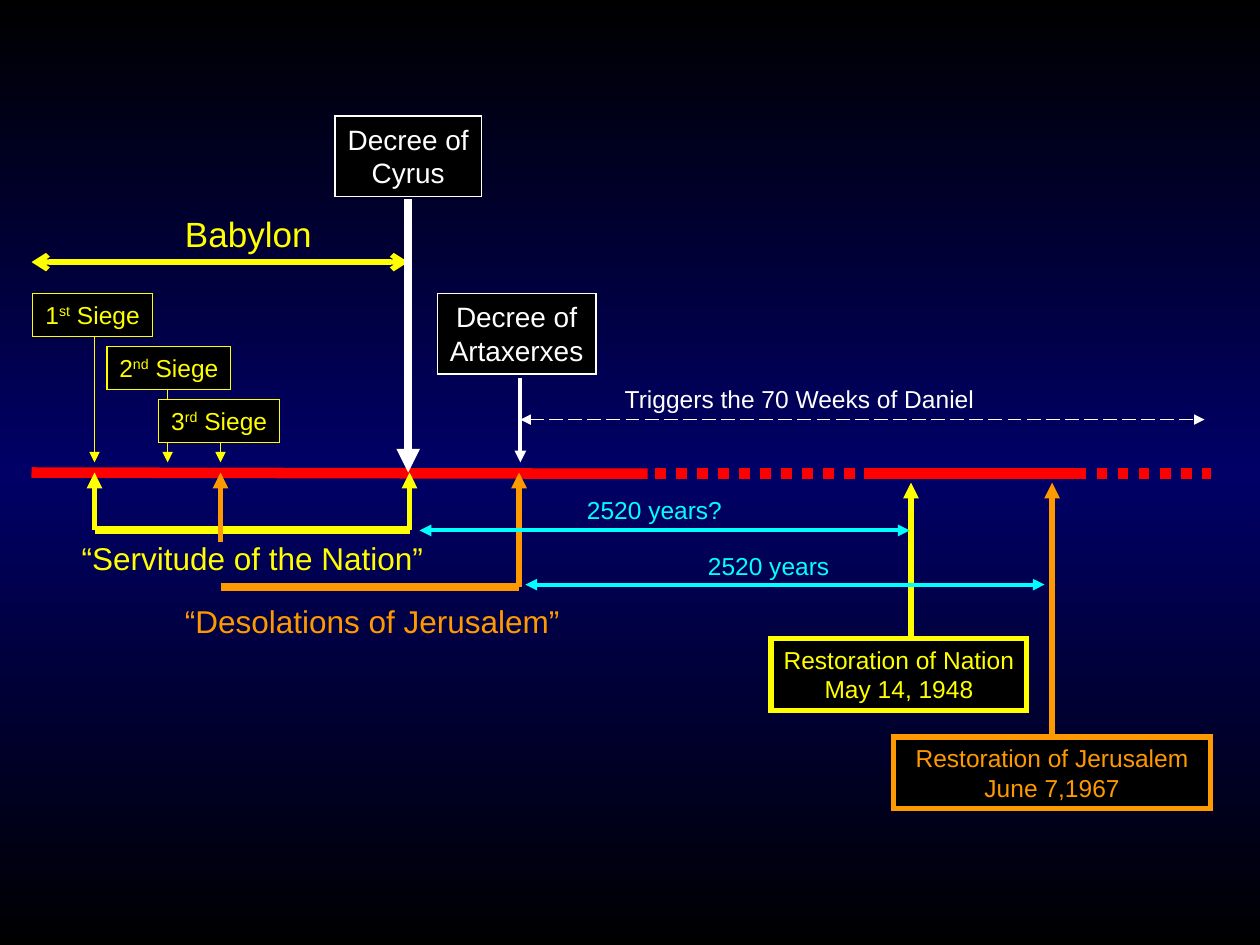
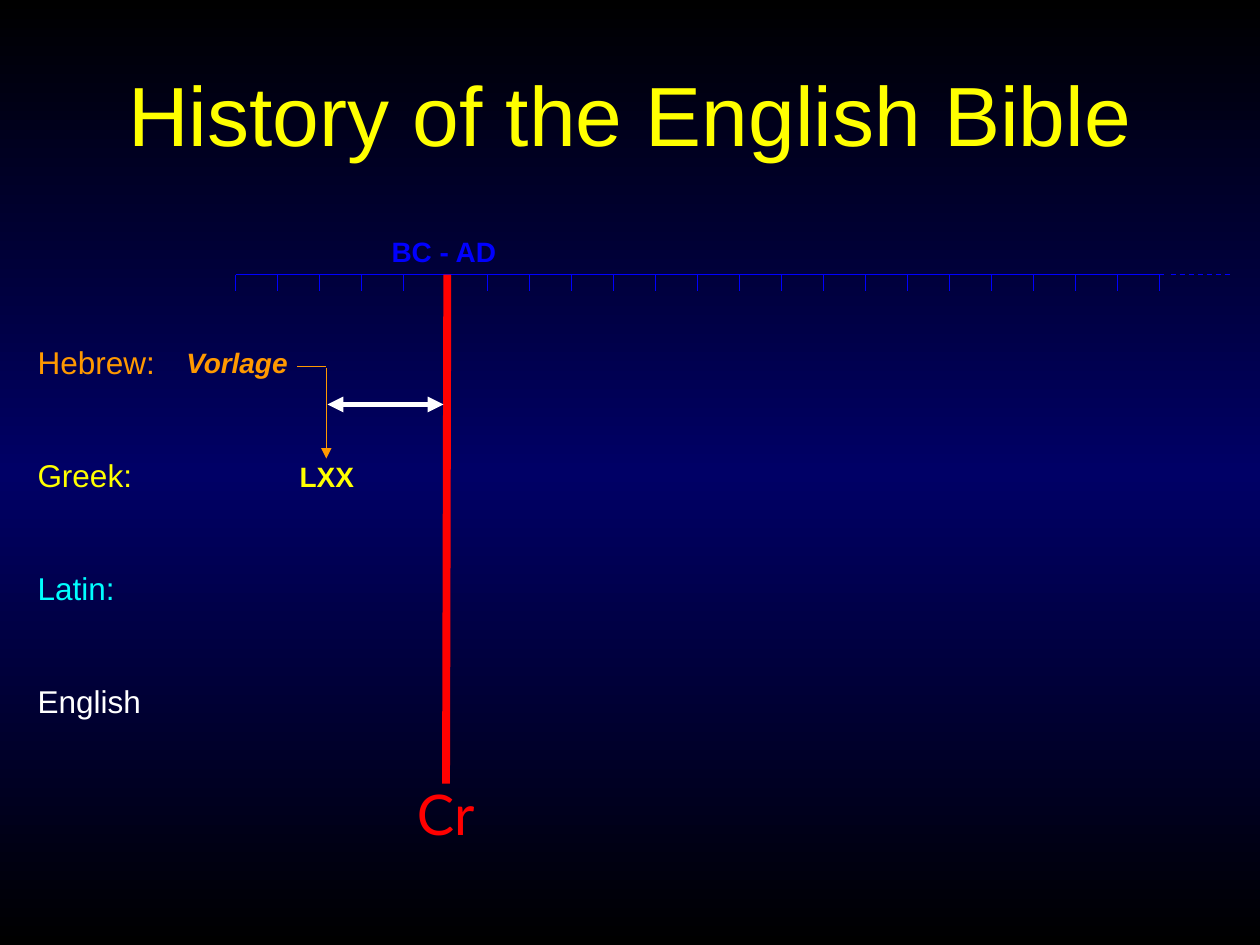
import pptx
import pptx.dml.color
import pptx.enum.dml
import pptx.enum.shapes
import pptx.enum.text
import pptx.oxml
import pptx.oxml.ns
import pptx.util

Inches = pptx.util.Inches
Pt = pptx.util.Pt
qn = pptx.oxml.ns.qn
PP_ALIGN = pptx.enum.text.PP_ALIGN
DASH = pptx.enum.dml.MSO_LINE

BLACK, NAVY, WHITE = "000000", "000066", "FFFFFF"
YELLOW, ORANGE, CYAN, RED, BLUE = "FFFF00", "FF9900", "00FFFF", "FF0000", "0000FF"
FONT = "Arial"
AXIS_Y = 3.76


def rgb(value):
    """Turn a hex string into a colour."""
    return pptx.dml.color.RGBColor.from_string(value)


def set_background(master):
    """Give every slide the black, navy, black vertical gradient."""
    fill = master.background.fill
    fill.gradient()
    fill.gradient_angle = 270
    stops = master.element.find(".//" + qn("a:gsLst"))
    for gs in list(stops):
        stops.remove(gs)
    for pos, color in ((0, BLACK), (50000, NAVY), (100000, BLACK)):
        gs = stops.makeelement(qn("a:gs"), {"pos": str(pos)})
        gs.append(gs.makeelement(qn("a:srgbClr"), {"val": color}))
        stops.append(gs)


def add_line(slide, start, end, color, width, dash=None, head=None, tail=None):
    """Draw a straight line, with arrowheads at either end if named."""
    sp = slide.shapes.add_connector(
        pptx.enum.shapes.MSO_CONNECTOR.STRAIGHT,
        *(Inches(v) for v in (*start, *end)))
    sp.line.color.rgb = rgb(color)
    sp.line.width = Pt(width)
    if dash:
        sp.line.dash_style = dash
    ln = sp.line._get_or_add_ln()
    for tag, kind in (("a:headEnd", head), ("a:tailEnd", tail)):
        if kind:
            ln.append(ln.makeelement(qn(tag), {"type": kind}))
    spPr = sp._element.spPr
    spPr.append(spPr.makeelement(qn("a:effectLst"), {}))


def add_run(p, text, color, size, font=FONT, bold=False, italic=False, raised=False):
    """Append one formatted run to a paragraph."""
    r = p.add_run()
    r.text = text
    r.font.name, r.font.size = font, Pt(size)
    r.font.bold, r.font.italic = bold, italic
    r.font.color.rgb = rgb(color)
    if raised:
        r._r.get_or_add_rPr().set("baseline", "30000")


def plain_frame(sp):
    """Clear wrapping and anchor the text at the top."""
    tf = sp.text_frame
    tf.word_wrap = False
    tf.auto_size = pptx.enum.text.MSO_AUTO_SIZE.NONE
    tf.vertical_anchor = pptx.enum.text.MSO_ANCHOR.TOP
    tf.margin_left = tf.margin_right = Inches(0.1)
    tf.margin_top = tf.margin_bottom = Inches(0.05)
    return tf


def add_label(slide, box, text, color, size, **style):
    """Place one line of text without a frame."""
    sp = slide.shapes.add_textbox(*(Inches(v) for v in box))
    add_run(plain_frame(sp).paragraphs[0], text, color, size, **style)


def add_callout(slide, box, lines, color, size, border, arrow, weight):
    """Draw a framed event with an arrow to the time line, arrow being (x, start, tip)."""
    x, start, tip = arrow
    add_line(slide, (x, start), (x, tip), color, weight, tail="triangle")
    sp = slide.shapes.add_shape(
        pptx.enum.shapes.MSO_SHAPE.RECTANGLE, *(Inches(v) for v in box))
    sp.shadow.inherit = False
    sp.fill.solid()
    sp.fill.fore_color.rgb = rgb(BLACK)
    sp.line.color.rgb = rgb(color)
    sp.line.width = Pt(border)
    ln = sp.line._get_or_add_ln()
    ln.append(ln.makeelement(qn("a:miter"), {"lim": "800000"}))
    tf = plain_frame(sp)
    for i, runs in enumerate(lines):
        p = tf.add_paragraph() if i else tf.paragraphs[0]
        p.alignment = PP_ALIGN.CENTER
        for j, text in enumerate(runs):
            add_run(p, text, color, size, raised=j == 1)


def add_bracket(slide, box, color, left_start, label_box, text):
    """Draw a period below the time line: a bar with an arrow up at each end."""
    left, top, width, height = box
    right, bottom = left + width, top + height
    add_line(slide, (left, bottom), (right, bottom), color, 4.5)
    add_line(slide, (left, left_start), (left, top), color, 3, tail="triangle")
    add_line(slide, (right, bottom), (right, top), color, 3, tail="triangle")
    add_label(slide, label_box, text, color, 18)


def add_span(slide, box, text, label, color, size, weight, head="triangle", dash=None):
    """Draw a double arrow along the foot of a box, label being (offset, width)."""
    left, top, width, height = box
    y = top + height
    add_line(slide, (left, y), (left + width, y), color, weight, dash, head, head)
    add_label(slide, (left + label[0], top, label[1], height), text, color, size)


def build_prophecy(prs):
    """Build the time line of sieges, decrees and restorations."""
    slide = prs.slides.add_slide(prs.slide_layouts[6])
    sieges = (("1", "st", 0.26, 0.95, 0.75),
              ("2", "nd", 0.85, 0.98, 1.33),
              ("3", "rd", 1.26, 0.96, 1.75))
    for i, (number, suffix, left, width, x) in enumerate(sieges):
        top = 2.33 + 0.42 * i
        add_callout(slide, (left, top, width, 0.34), [(number, suffix, " Siege")],
                    YELLOW, 14, 0.75, (x, top + 0.34, 3.67), 0.75)

    add_line(slide, (0.25, 3.75), (5.14, AXIS_Y), RED, 6)
    add_bracket(slide, (0.75, 3.75, 2.5, 0.46), YELLOW, 4.21,
                (0.55, 4.23, 2.91, 0.4), "“Servitude of the Nation”")
    add_bracket(slide, (1.75, 3.75, 2.37, 0.91), ORANGE, 4.3,
                (1.37, 4.73, 3.17, 0.4), "“Desolations of Jerusalem”")
    add_span(slide, (0.25, 1.64, 2.99, 0.44), "Babylon", (1.12, 1.2),
             YELLOW, 20, 3, "arrow")
    add_line(slide, (5.2, AXIS_Y), (9.61, AXIS_Y), RED, 6, DASH.ROUND_DOT)
    add_line(slide, (6.86, AXIS_Y), (8.56, AXIS_Y), RED, 6)

    events = (
        ((3.47, 2.33, 1.26, 0.64), "Decree of", "Artaxerxes", WHITE, 16, 0.75, (4.13, 3, 3.67), 2.25),
        ((2.66, 0.92, 1.16, 0.64), "Decree of", "Cyrus", WHITE, 16, 0.75, (3.24, 1.58, 3.75), 4.5),
        ((6.12, 5.07, 2.03, 0.57), "Restoration of Nation", "May 14, 1948", YELLOW, 14, 3, (7.23, 5.08, 3.83), 3),
        ((7.09, 5.85, 2.52, 0.57), "Restoration of Jerusalem", "June 7,1967", ORANGE, 14, 3, (8.35, 5.85, 3.83), 3),
    )
    for box, first, second, *style in events:
        add_callout(slide, box, [(first,), (second,)], *style)

    add_span(slide, (4.13, 3, 5.43, 0.33), "Triggers the 70 Weeks of Daniel",
             (0.73, 2.98), WHITE, 14, 1, dash=DASH.LONG_DASH)
    add_span(slide, (4.17, 4.32, 4.12, 0.32), "2520 years", (1.35, 1.16), CYAN, 14, 2.25)
    add_span(slide, (3.33, 3.88, 3.89, 0.33), "2520 years?", (1.23, 1.27), CYAN, 14, 2.25)


def add_title(slide, box, text):
    """Move and format the title placeholder."""
    sp = slide.shapes.title
    sp.left, sp.top, sp.width, sp.height = (Inches(v) for v in box)
    p = plain_frame(sp).paragraphs[0]
    p.alignment = PP_ALIGN.CENTER
    add_run(p, text, YELLOW, 48)


def add_languages(slide, box):
    """List the languages down the left side, evenly spaced."""
    tf = plain_frame(slide.shapes.add_textbox(*(Inches(v) for v in box)))
    rows = (("Hebrew:", ORANGE), ("Greek:", YELLOW), ("Latin:", CYAN), ("English", WHITE))
    for i, (text, color) in enumerate(rows):
        p = tf.add_paragraph() if i else tf.paragraphs[0]
        p.space_before = Pt(43 if i else 0)
        add_run(p, text, color, 18)


def add_century_scale(slide, box, ticks):
    """Draw the ruler of centuries with its dashed continuation."""
    left, top, width, height = box
    for i in range(ticks):
        x = left + width * i / (ticks - 1)
        add_line(slide, (x, top), (x, top + height), BLUE, 0.75)
    right = left + width
    add_line(slide, (left, top), (right + 0.04, top), BLUE, 0.75)
    add_line(slide, (right + 0.09, top), (right + 0.56, top), BLUE, 0.75, DASH.DASH)


def build_bible_history(prs):
    """Build the chart of Bible languages against the centuries."""
    slide = prs.slides.add_slide(prs.slide_layouts[5])
    add_title(slide, (0.7, 0.45, 8.6, 0.9), "History of the English Bible")
    add_languages(slide, (0.2, 2.67, 1.13, 3.1))
    add_century_scale(slide, (1.87, 2.18, 7.33, 0.13), 23)
    add_label(slide, (1.38, 2.69, 1.01, 0.37), "Vorlage", ORANGE, 16, bold=True, italic=True)
    add_label(slide, (2.28, 3.6, 0.63, 0.37), "LXX", YELLOW, 16, bold=True)
    add_label(slide, (3.01, 1.81, 1.04, 0.37), "BC - AD", BLUE, 16, bold=True)
    add_label(slide, (3.21, 6.14, 0.66, 0.64), "Cr", RED, 32, font="Lato")
    add_line(slide, (3.55, 2.18), (3.54, 6.22), RED, 4.5)
    add_line(slide, (2.36, 2.91), (2.59, 2.91), ORANGE, 0.75)
    add_line(slide, (2.59, 2.92), (2.59, 3.64), ORANGE, 0.75, tail="triangle")
    add_line(slide, (2.6, 3.21), (3.52, 3.21), WHITE, 3, head="triangle", tail="triangle")


def main():
    """Build and save the presentation."""
    prs = pptx.Presentation()
    prs.slide_width, prs.slide_height = Inches(10), Inches(7.5)
    set_background(prs.slide_master)
    build_prophecy(prs)
    build_bible_history(prs)
    prs.save("out.pptx")


if __name__ == "__main__":
    main()
